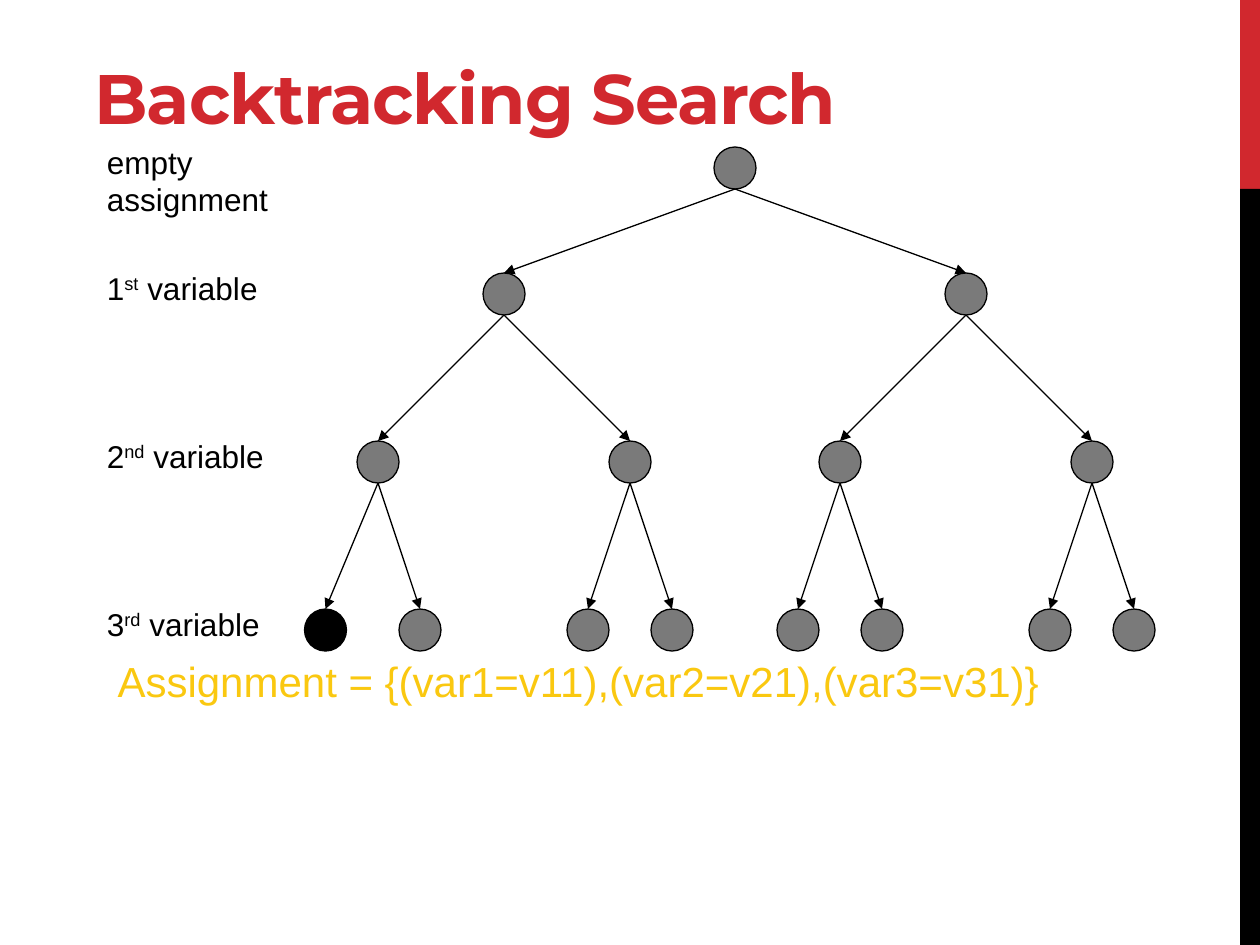
from lxml.etree import SubElement
from pptx import Presentation
from pptx.dml.color import RGBColor
from pptx.enum.shapes import MSO_CONNECTOR, MSO_SHAPE
from pptx.enum.text import MSO_ANCHOR, MSO_AUTO_SIZE, PP_ALIGN
from pptx.oxml.ns import qn
from pptx.util import Cm, Pt

COLORS = {"red": "D1282E", "black": "000000", "gray": "7A7A7A", "yellow": "FAC810"}
U = 2.54 / 6  # grid unit in cm; the tree sits on sixths of an inch

prs = Presentation()
prs.slide_width, prs.slide_height = Cm(25.4), Cm(19.05)
s = prs.slides.add_slide(prs.slide_layouts[5])


def add_shape(kind, x, y, w, h, fill, line=None):
    sp = s.shapes.add_shape(kind, Cm(x), Cm(y), Cm(w), Cm(h))
    sp.shadow.inherit = False
    sp.fill.solid()
    sp.fill.fore_color.rgb = RGBColor.from_string(COLORS[fill])
    if line:
        sp.line.color.rgb = RGBColor.from_string(COLORS[line])
        sp.line.width = Pt(0.75)
    else:
        sp.line.fill.background()
    return sp


def add_run(p, text, color, **font):
    r = p.add_run()
    r.text = text
    r.font.color.rgb = RGBColor.from_string(COLORS[color])
    for name, value in font.items():
        setattr(r.font, name, value)
    return r


# Side bars
for y, h, fill in [(0, 3.81, "red"), (3.81, 15.24, "black")]:
    add_shape(MSO_SHAPE.RECTANGLE, 25, y, 0.4, h, fill)

# Title
title = s.shapes.title
for name, value in {"left": 1.27, "top": 0.43, "width": 17.78, "height": 2.49}.items():
    setattr(title, name, Cm(value))
tf = title.text_frame
for name, value in {"vertical_anchor": MSO_ANCHOR.BOTTOM, "word_wrap": True,
                    "auto_size": MSO_AUTO_SIZE.NONE}.items():
    setattr(tf, name, value)
p = tf.paragraphs[0]
p.alignment = PP_ALIGN.LEFT
r = add_run(p, " Backtracking Search", "red", name="Montserrat", size=Pt(40), bold=True)
r._r.get_or_add_rPr().set("spc", "-60")

# Tree levels: node top and node centres, in grid units
levels = [
    (7, [35]),
    (13, [24, 46]),
    (21, [18, 30, 40, 52]),
    (29, [15.5, 20, 28, 32, 38, 42, 50, 54]),
]
nodes = []
for top, centers in levels:
    nodes.append([
        add_shape(MSO_SHAPE.OVAL, (x - 1) * U, top * U, 2 * U, 2 * U,
                  "black" if x == 15.5 else "gray", "black")
        for x in centers
    ])

# Arrows from each parent's bottom to its two children
for parents, children in zip(nodes, nodes[1:]):
    for i, child in enumerate(children):
        parent = parents[i // 2]
        cn = s.shapes.add_connector(
            MSO_CONNECTOR.STRAIGHT, parent.left + parent.width // 2,
            parent.top + parent.height, child.left + child.width // 2, child.top)
        cn.end_connect(child, 0)
        cn.line.color.rgb = RGBColor.from_string(COLORS["black"])
        cn.line.width = Pt(0.75)
        SubElement(cn.line._get_or_add_ln(), qn("a:tailEnd"), type="triangle")
        SubElement(cn._element.spPr, qn("a:effectLst"))

# Level labels and resulting assignment: x, y, width, size, color, (text, superscript, text)
labels = [(4.5 * U, (top - 0.5) * U, 5.2, 18, "black", parts)
          for (top, _), parts in zip(levels, [
              ("empty assignment",),
              ("1", "st", " variable"),
              ("2", "nd", " variable"),
              ("3", "rd", " variable")])]
labels.append((2.12, 13.08, 20.07, 24, "yellow",
               ("Assignment = {(var1=v11),(var2=v21),(var3=v31)}",)))
for x, y, w, size, color, parts in labels:
    tb = s.shapes.add_textbox(Cm(x), Cm(y), Cm(w), Cm(1.02))
    tb.text_frame.word_wrap = True
    p = tb.text_frame.paragraphs[0]
    for i, text in enumerate(parts):
        r = add_run(p, text, color, name="Arial", size=Pt(size))
        if i == 1:
            r._r.get_or_add_rPr().set("baseline", "30000")

prs.save("out.pptx")
